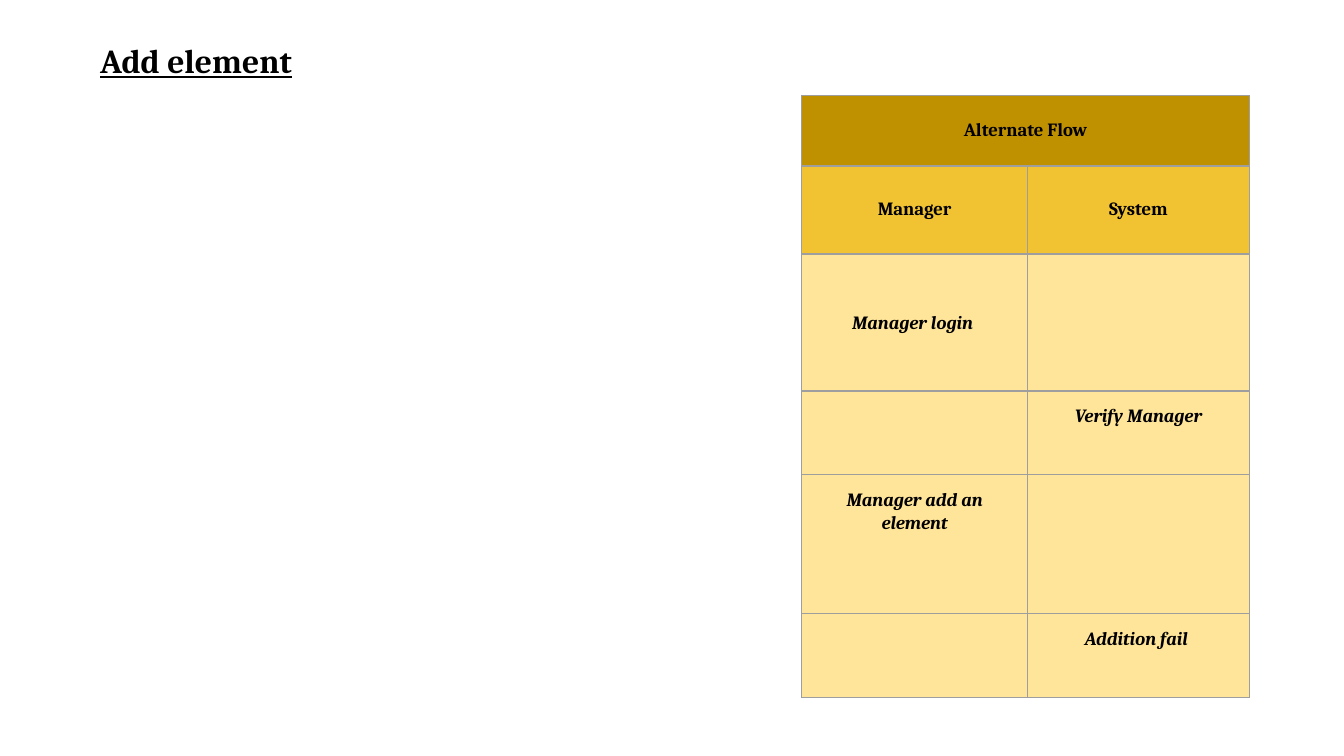
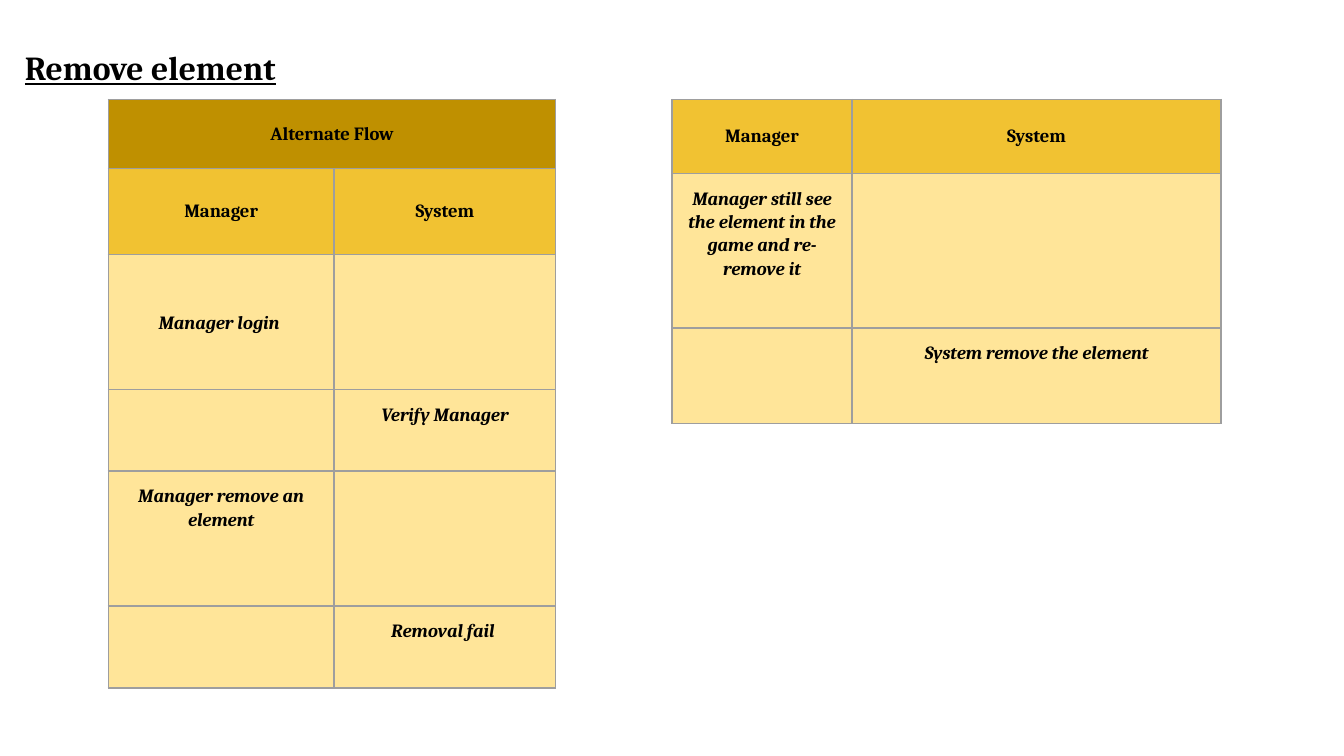
from typing import NamedTuple

from lxml.etree import SubElement
from pptx import Presentation
from pptx.dml.color import RGBColor
from pptx.enum.text import MSO_ANCHOR as Anchor
from pptx.enum.text import MSO_AUTO_SIZE as AutoSize
from pptx.enum.text import PP_ALIGN as Align
from pptx.oxml.ns import qn
from pptx.util import Emu, Pt

PX = 4572  # EMU per px, 200 px to the inch
SLIDE_W, SLIDE_H = 2000, 1125
FONT = "Cambria"
INSET = 20
LINE_SPACING = 1.08
TITLE_W, TITLE_H = 656, 124
FRAME_SIDE = 656  # nominal table frame; columns and rows set the drawn size
TITLE_ONLY = 5
COLORS = {
    "text": "000000",
    "background": "FFFFFF",
    "border": "9E9E9E",
    "banner": "BF9000",
    "actors": "F1C232",
    "step": "FFE599",
}


class Row(NamedTuple):
    kind: str  # banner, actors or step
    height: int
    left: str = ""
    right: str = ""
    anchor: Anchor = Anchor.MIDDLE


class Flow(NamedTuple):
    x: int
    y: int
    cols: tuple[int, int]
    rows: list[Row]


class Page(NamedTuple):
    title: str
    x: int
    y: int
    flows: list[Flow]


def px(n: int) -> Emu:
    return Emu(n * PX)


def rgb(name: str) -> RGBColor:
    return RGBColor.from_string(COLORS[name])


def set_font(p, size: int, italic: bool = False, underline: bool = False) -> None:
    f = p.font
    f.name, f.size, f.bold = FONT, Pt(size), True
    f.italic, f.underline = italic, underline
    f.color.rgb = rgb("text")


def set_insets(box) -> None:
    """Give a cell or a text frame the same margin on all four sides."""
    box.margin_left = box.margin_right = px(INSET)
    box.margin_top = box.margin_bottom = px(INSET)


def add_borders(cell) -> None:
    tc_pr = cell._tc.get_or_add_tcPr()
    for side in ("lnL", "lnR", "lnT", "lnB"):
        ln = SubElement(tc_pr, qn(f"a:{side}"), w=str(Pt(0.75)))
        fill = SubElement(ln, qn("a:solidFill"))
        SubElement(fill, qn("a:srgbClr"), val=COLORS["border"])


def format_cell(cell, row: Row, text: str) -> None:
    is_step = row.kind == "step"
    add_borders(cell)
    cell.fill.solid()
    cell.fill.fore_color.rgb = rgb(row.kind)
    set_insets(cell)
    cell.vertical_anchor = row.anchor
    p = cell.text_frame.paragraphs[0]
    p.text = text
    p.alignment = Align.CENTER
    if is_step:
        p.line_spacing = LINE_SPACING
    set_font(p, 10, italic=is_step)


def add_flow(s, flow: Flow) -> None:
    side = px(FRAME_SIDE)
    frame = s.shapes.add_table(len(flow.rows), len(flow.cols),
                               px(flow.x), px(flow.y), side, side)
    table = frame.table
    table.first_row = table.horz_banding = False
    for col, w in zip(table.columns, flow.cols):
        col.width = px(w)
    for i, row in enumerate(flow.rows):
        table.rows[i].height = px(row.height)
        for j, text in enumerate((row.left, row.right)):
            format_cell(table.cell(i, j), row, text)
        if row.kind == "banner":
            table.cell(i, 0).merge(table.cell(i, 1))
    frame.width = frame.height = side


def add_title(s, page: Page) -> None:
    sp = s.shapes.title
    sp.left, sp.top = px(page.x), px(page.y)
    sp.width, sp.height = px(TITLE_W), px(TITLE_H)
    tf = sp.text_frame
    tf.word_wrap = True
    tf.auto_size = AutoSize.NONE
    tf.vertical_anchor = Anchor.MIDDLE
    set_insets(tf)
    p = tf.paragraphs[0]
    p.text = page.title
    p.alignment = Align.LEFT
    p.line_spacing = LINE_SPACING
    p.space_before, p.space_after = Pt(0), Pt(8)
    set_font(p, 18, underline=True)


def actors(height: int) -> Row:
    return Row("actors", height, "Manager", "System")


def manager(height: int, text: str, anchor: Anchor = Anchor.TOP) -> Row:
    return Row("step", height, left=text, anchor=anchor)


def system(height: int, text: str) -> Row:
    return Row("step", height, right=text, anchor=Anchor.TOP)


def alternate_flow(x: int, y: int, heights: tuple[int, ...],
                   action: str, result: str) -> Flow:
    banner, head, login, verify, act, fail = heights
    return Flow(x, y, (336, 330), [
        Row("banner", banner, "Alternate Flow"),
        actors(head),
        manager(login, "Manager login ", Anchor.MIDDLE),
        system(verify, "Verify Manager"),
        manager(act, action),
        system(fail, result),
    ])


PAGES = [
    Page("Add element", 129, 25, [
        alternate_flow(1193, 142, (105, 131, 204, 124, 207, 125),
                       "Manager add an element", "Addition fail "),
    ]),
    Page("Remove element", 17, 36, [
        alternate_flow(161, 148, (103, 128, 201, 121, 201, 122),
                       "Manager remove an element", "Removal fail "),
        Flow(1000, 148, (268, 549), [
            actors(110),
            manager(230, "Manager still see the element in the game and re-remove it"),
            system(142, "System remove the element"),
        ]),
    ]),
]


def main() -> None:
    prs = Presentation()
    prs.slide_width, prs.slide_height = px(SLIDE_W), px(SLIDE_H)
    for page in PAGES:
        s = prs.slides.add_slide(prs.slide_layouts[TITLE_ONLY])
        s.background.fill.solid()
        s.background.fill.fore_color.rgb = rgb("background")
        add_title(s, page)
        for flow in page.flows:
            add_flow(s, flow)
    prs.save("out.pptx")


if __name__ == "__main__":
    main()
